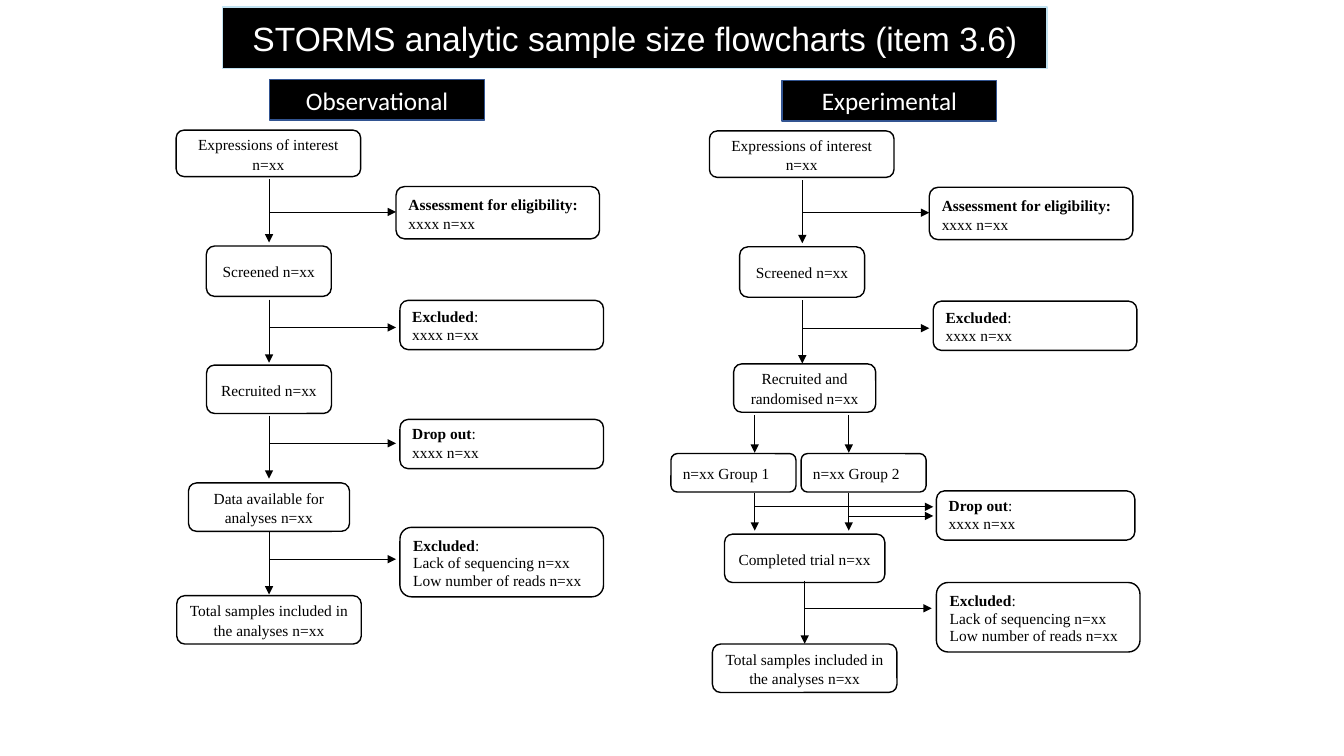
from lxml.etree import SubElement
from pptx import Presentation
from pptx.dml.color import RGBColor
from pptx.enum.shapes import MSO_CONNECTOR, MSO_SHAPE
from pptx.enum.text import MSO_ANCHOR, MSO_AUTO_SIZE, PP_ALIGN
from pptx.oxml.ns import qn
from pptx.util import Cm, Pt

COLORS = {"black": "000000", "white": "FFFFFF", "title_line": "C1E2F1", "head_line": "325491"}
TITLE_FONT = {"name": "Arial", "size": Pt(24), "bold": False}
HEAD_FONT = {"name": "Calibri", "size": Pt(18)}
BODY_FONT = {"name": "Times New Roman", "size": Pt(11)}
AXIS = 2.34  # main flow line, from the left edge of a flowchart
TALL, STEP = 1.22, 1.59
SAMPLES = "Total samples included in the analyses n=xx"
READS = ["Lack of sequencing n=xx", "Low number of reads n=xx"]


def color(name):
    return RGBColor.from_string(COLORS[name])


def paint(sp, fill, line):
    sp.fill.solid()
    sp.fill.fore_color.rgb = color(fill)
    sp.line.color.rgb = color(line)
    sp.line.width = Pt(1)


def add_run(p, text, font, ink="black", **extra):
    r = p.add_run()
    r.text = text
    for key, value in {**font, **extra}.items():
        setattr(r.font, key, value)
    r.font.color.rgb = color(ink)


def add_box(s, shape, box, fill="white", line="black", anchor=MSO_ANCHOR.MIDDLE):
    sp = s.shapes.add_shape(shape, *(Cm(v) for v in box))
    sp.shadow.inherit = False
    paint(sp, fill, line)
    sp.text_frame.word_wrap = True
    sp.text_frame.vertical_anchor = anchor
    return sp.text_frame


def add_arrow(s, x1, y1, x2, y2):
    c = s.shapes.add_connector(MSO_CONNECTOR.STRAIGHT, *(Cm(v) for v in (x1, y1, x2, y2)))
    c.line.color.rgb = color("black")
    c.line.width = Pt(0.5)
    SubElement(c.line._get_or_add_ln(), qn("a:tailEnd"), type="triangle")
    SubElement(c._element.spPr, qn("a:effectLst"))


def add_stage(s, box, text, align=PP_ALIGN.CENTER):
    p = add_box(s, MSO_SHAPE.FLOWCHART_ALTERNATE_PROCESS, box).paragraphs[0]
    p.alignment = align
    p.line_spacing = 1.07
    add_run(p, text, BODY_FONT)


def add_side_note(s, box, label, lines, spacing=(0.5, 0.5), bold_colon=False):
    """Rounded box with a bold label above plain lines; spacing is (label, lines)."""
    tf = add_box(s, MSO_SHAPE.FLOWCHART_ALTERNATE_PROCESS, box, anchor=MSO_ANCHOR.BOTTOM)
    for i, text in enumerate([label, *lines]):
        p = tf.add_paragraph() if i else tf.paragraphs[0]
        p.alignment = PP_ALIGN.LEFT
        p.line_spacing = spacing[min(i, 1)]
        if i and p.line_spacing < 1:
            p.space_before = Pt(6)
        add_run(p, text, BODY_FONT, bold=not i)
        if not i:
            add_run(p, ":", BODY_FONT, bold=bold_colon)


def add_step(s, x, y, branch=0.7):
    """Arrow down to the next stage, with a side arrow leaving it."""
    add_arrow(s, x, y, x, y + STEP)
    add_arrow(s, x, y + branch, x + 3.2, y + branch)


def add_heading(s, box, text):
    p = add_box(s, MSO_SHAPE.RECTANGLE, box, "black", "head_line").paragraphs[0]
    p.alignment = PP_ALIGN.CENTER
    add_run(p, text, HEAD_FONT, "white")


def add_enrolment(s, left, top):
    """Stages shared by both flowcharts, down to recruitment."""
    axis = left + AXIS
    add_stage(s, (left, top + 1.27, 4.65, 1.17), "Expressions of interest n=xx")
    add_side_note(s, (left + 5.54, top + 2.69, 5.13, 1.32), "Assessment for eligibility",
                  ["xxxx n=xx"], spacing=(1.07, 0.5), bold_colon=True)
    add_stage(s, (left + 0.76, top + 4.19, 3.15, 1.27), "Screened n=xx")
    add_side_note(s, (left + 5.64, top + 5.56, 5.13, 1.24), "Excluded", ["xxxx n=xx"])
    add_step(s, axis, top + 2.51, 0.82)
    add_step(s, axis, top + 5.54)


def add_observational(s, left, top):
    axis = left + AXIS
    add_heading(s, (left + 2.36, top, 5.41, 1.02), "Observational")
    add_enrolment(s, left, top)
    for y, w, text in ((7.19, 3.15, "Recruited n=xx"),
                       (10.16, 4.06, "Data available for analyses n=xx"),
                       (13.0, 4.65, SAMPLES)):
        add_stage(s, (axis - w / 2, top + y, w, TALL), text)
    add_side_note(s, (left + 5.64, top + 8.56, 5.13, 1.24), "Drop out", ["xxxx n=xx"], (1, 1))
    add_side_note(s, (left + 5.64, top + 11.28, 5.13, 1.75), "Excluded", READS)
    for y in (8.46, 11.38):
        add_step(s, axis, top + y)


def add_experimental(s, left, top):
    axis = left + 2.4
    add_heading(s, (left + 1.83, top, 5.41, 1.02), "Experimental")
    add_enrolment(s, left, top)
    for y, w, text in ((7.14, 3.58, "Recruited and randomised n=xx"),
                       (11.43, 4.04, "Completed trial n=xx"),
                       (14.2, 4.65, SAMPLES)):
        add_stage(s, (axis - w / 2, top + y, w, TALL), text)
    for i in range(2):
        x = left + 1.14 + 2.37 * i
        branch = top + 10.74 + 0.23 * i
        add_stage(s, (left - 0.97 + 3.28 * i, top + 9.4, 3.15, 0.97),
                  f"n=xx Group {i + 1}", PP_ALIGN.LEFT)
        for y in (8.43, 10.39):
            add_arrow(s, x, top + y, x, top + y + 0.95)
        add_arrow(s, x, branch, left + 5.64, branch)
    add_side_note(s, (left + 5.72, top + 10.34, 5.0, 1.24), "Drop out", ["xxxx n=xx"], (1, 1))
    add_side_note(s, (left + 5.72, top + 12.65, 5.13, 1.75), "Excluded", READS)
    add_step(s, axis, top + 12.6)


def add_title(s, box, text):
    sp = s.shapes.title
    for key, value in zip(("left", "top", "width", "height"), box):
        setattr(sp, key, Cm(value))
    geom = SubElement(sp._element.spPr, qn("a:prstGeom"), prst="roundRect")
    SubElement(geom, qn("a:avLst"))
    paint(sp, "black", "title_line")
    tf = sp.text_frame
    tf.word_wrap = True
    tf.auto_size = MSO_AUTO_SIZE.NONE
    tf.vertical_anchor = MSO_ANCHOR.MIDDLE
    p = tf.paragraphs[0]
    p.alignment = PP_ALIGN.CENTER
    add_run(p, text, TITLE_FONT, "white")


def main():
    prs = Presentation()
    prs.slide_width, prs.slide_height = Cm(33.87), Cm(19.05)
    s = prs.slides.add_slide(prs.slide_layouts[5])
    add_title(s, (5.61, 0.18, 20.78, 1.55), "STORMS analytic sample size flowcharts (item 3.6)")
    add_observational(s, 4.44, 2.01)
    add_experimental(s, 17.88, 2.03)
    prs.save("out.pptx")


if __name__ == "__main__":
    main()
